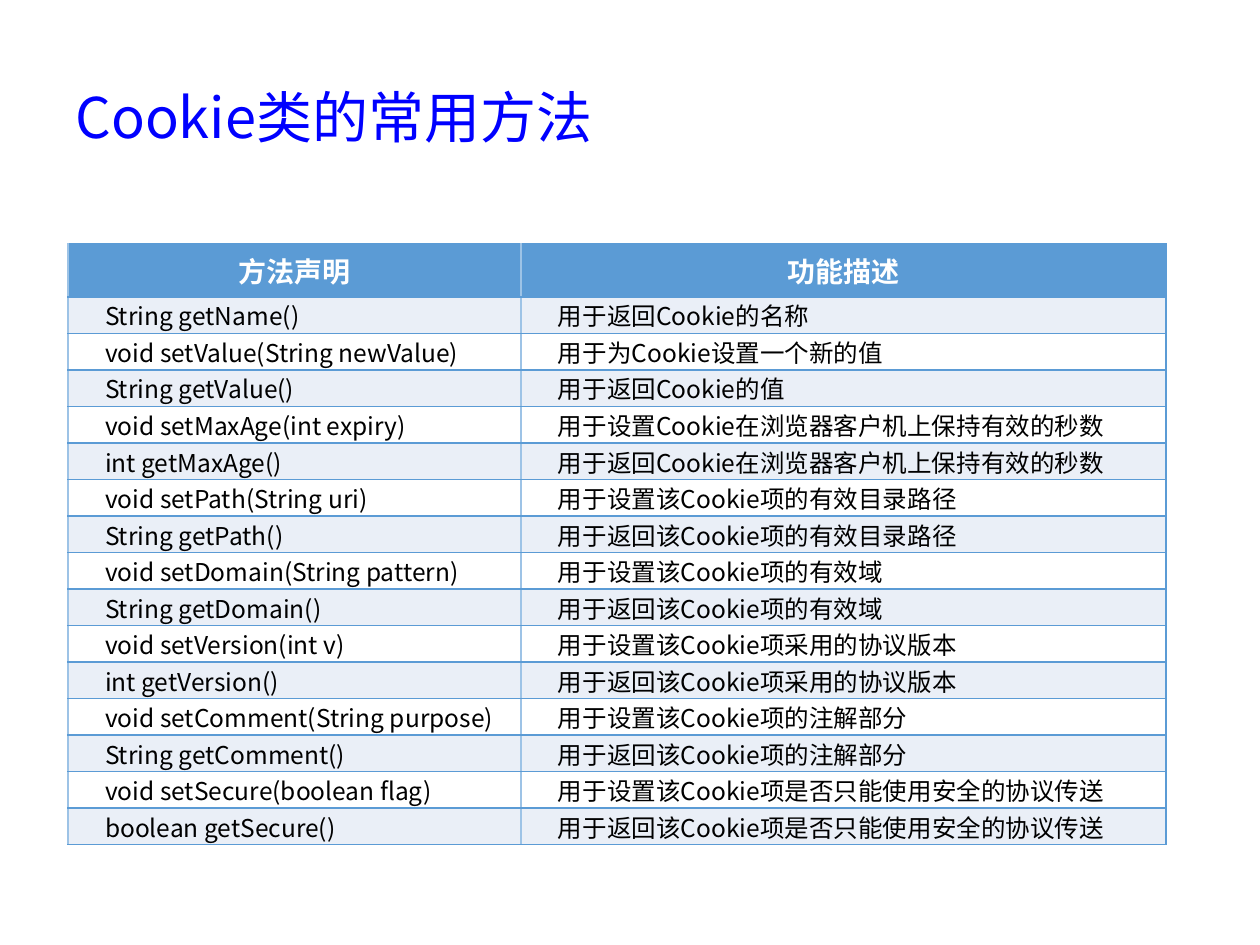
import pptx
import pptx.dml.color
import pptx.enum.text
import pptx.oxml
import pptx.oxml.ns
import pptx.util
from dataclasses import dataclass

EMU_PER_PX = 914400 / 126
ALIGN = pptx.enum.text.PP_ALIGN
MIDDLE = pptx.enum.text.MSO_ANCHOR.MIDDLE


@dataclass(frozen=True)
class Theme:
    title: str = "0000FF"
    header: str = "5B9BD5"
    divider: str = "9DC3E6"
    band: str = "EAEFF7"
    white: str = "FFFFFF"
    text: str = "000000"
    latin: str = "Calibri"
    cjk: str = "Noto Sans CJK SC"
    title_size: int = 32
    header_size: int = 16
    body_size: int = 14


theme = Theme()


def px(length):
    return pptx.util.Emu(round(length * EMU_PER_PX))


def add_span(para, text, font, size, color, bold=False):
    span = para.add_run()
    span.text = text
    span.font.name = font
    span.font.size = pptx.util.Pt(size)
    span.font.bold = bold
    span.font.color.rgb = pptx.dml.color.RGBColor.from_string(color)
    east_asian = pptx.oxml.parse_xml(
        f'<a:ea {pptx.oxml.ns.nsdecls("a")} typeface="{theme.cjk}"/>')
    span.font._element.find(pptx.oxml.ns.qn("a:latin")).addnext(east_asian)


rows = [
    ("方法声明", "功能描述"),
    ("String getName()", "用于返回Cookie的名称"),
    ("void setValue(String newValue)", "用于为Cookie设置一个新的值"),
    ("String getValue()", "用于返回Cookie的值"),
    ("void setMaxAge(int expiry)", "用于设置Cookie在浏览器客户机上保持有效的秒数"),
    ("int getMaxAge()", "用于返回Cookie在浏览器客户机上保持有效的秒数"),
    ("void setPath(String uri)", "用于设置该Cookie项的有效目录路径"),
    ("String getPath()", "用于返回该Cookie项的有效目录路径"),
    ("void setDomain(String pattern)", "用于设置该Cookie项的有效域"),
    ("String getDomain()", "用于返回该Cookie项的有效域"),
    ("void setVersion(int v)", "用于设置该Cookie项采用的协议版本"),
    ("int getVersion()", "用于返回该Cookie项采用的协议版本"),
    ("void setComment(String purpose)", "用于设置该Cookie项的注解部分"),
    ("String getComment()", "用于返回该Cookie项的注解部分"),
    ("void setSecure(boolean flag)", "用于设置该Cookie项是否只能使用安全的协议传送"),
    ("boolean getSecure()", "用于返回该Cookie项是否只能使用安全的协议传送"),
]
column_widths = (453, 645)
table_height, header_height = 601, 53
body_height = (table_height - header_height) / (len(rows) - 1)

deck = pptx.Presentation()
deck.slide_width, deck.slide_height = px(1260), px(945)
page = deck.slides.add_slide(deck.slide_layouts[6])

# Title
title_box = page.shapes.add_textbox(px(63), px(38), px(1134), px(157))
title_box.text_frame.word_wrap = True
title_box.text_frame.vertical_anchor = MIDDLE
add_span(title_box.text_frame.paragraphs[0], "Cookie类的常用方法",
         theme.cjk, theme.title_size, theme.title)

# Method table
table = page.shapes.add_table(len(rows), 2, px(68), px(244),
                              px(sum(column_widths)), px(table_height)).table
table.horz_banding = False
for column, width in zip(table.columns, column_widths):
    column.width = px(width)

for row_index, texts in enumerate(rows):
    is_header = row_index == 0
    table.rows[row_index].height = px(header_height if is_header else body_height)
    fill = theme.header if is_header else (theme.white, theme.band)[row_index % 2]
    for column_index, text in enumerate(texts):
        cell = table.cell(row_index, column_index)
        cell.vertical_anchor = MIDDLE
        if not is_header:
            cell.margin_left = cell.margin_right = 0
            cell.margin_top = cell.margin_bottom = 0

        right_color = (theme.divider, theme.header)[column_index]
        borders = {"lnL": theme.divider, "lnR": right_color,
                   "lnT": theme.header, "lnB": theme.header}
        for side, color in borders.items():
            cell._tc.get_or_add_tcPr().append(pptx.oxml.parse_xml(
                f'<a:{side} {pptx.oxml.ns.nsdecls("a")} w="12700"><a:solidFill>'
                f'<a:srgbClr val="{color}"/></a:solidFill></a:{side}>'))
        cell.fill.solid()
        cell.fill.fore_color.rgb = pptx.dml.color.RGBColor.from_string(fill)

        para = cell.text_frame.paragraphs[0]
        if is_header:
            para.alignment = ALIGN.CENTER
            add_span(para, text, theme.latin, theme.header_size, theme.white, True)
        else:
            para.alignment = (ALIGN.JUSTIFY, ALIGN.LEFT)[column_index]
            para._p.get_or_add_pPr().set("indent", str(px(37)))
            add_span(para, text, theme.cjk, theme.body_size, theme.text)

deck.save("out.pptx")
